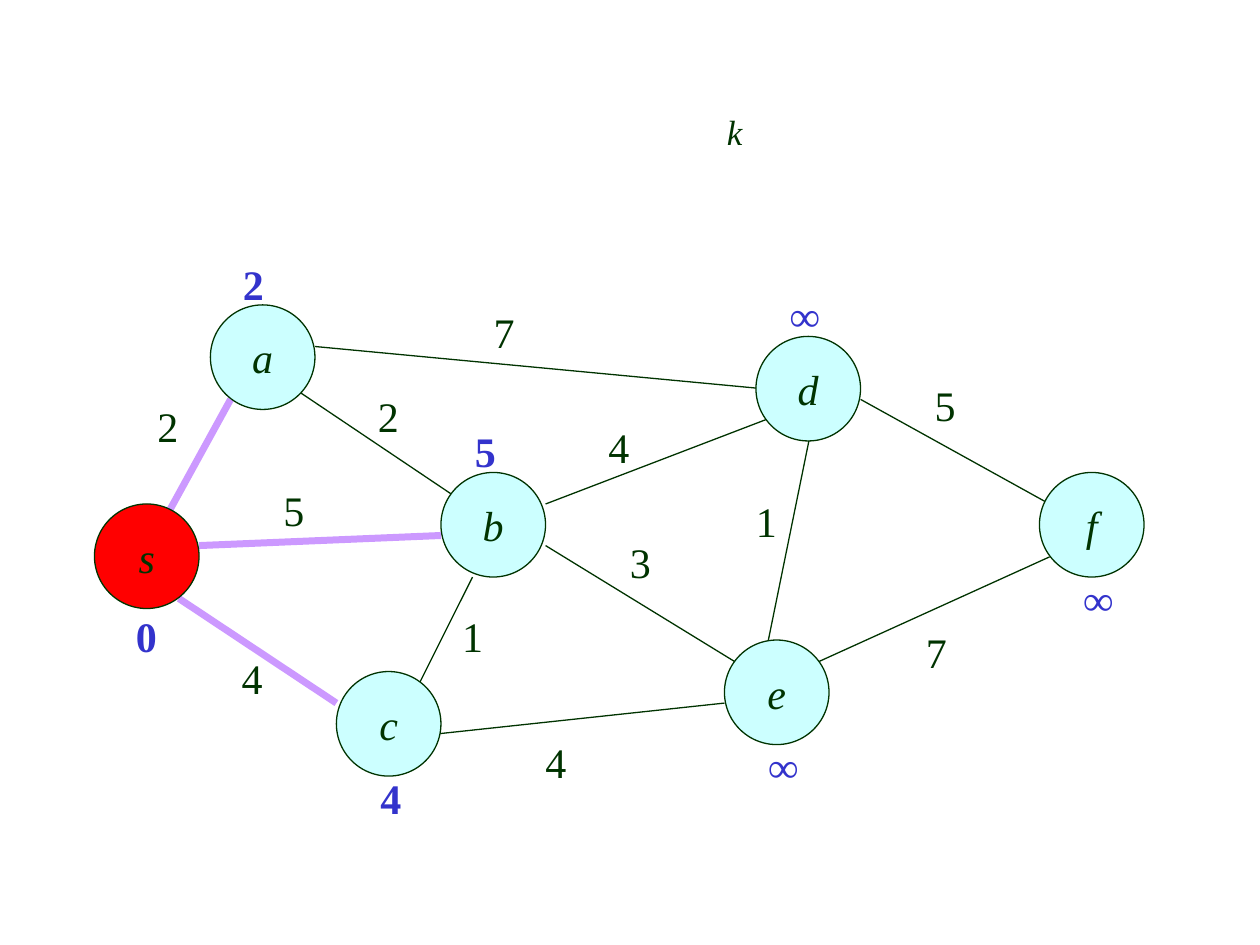
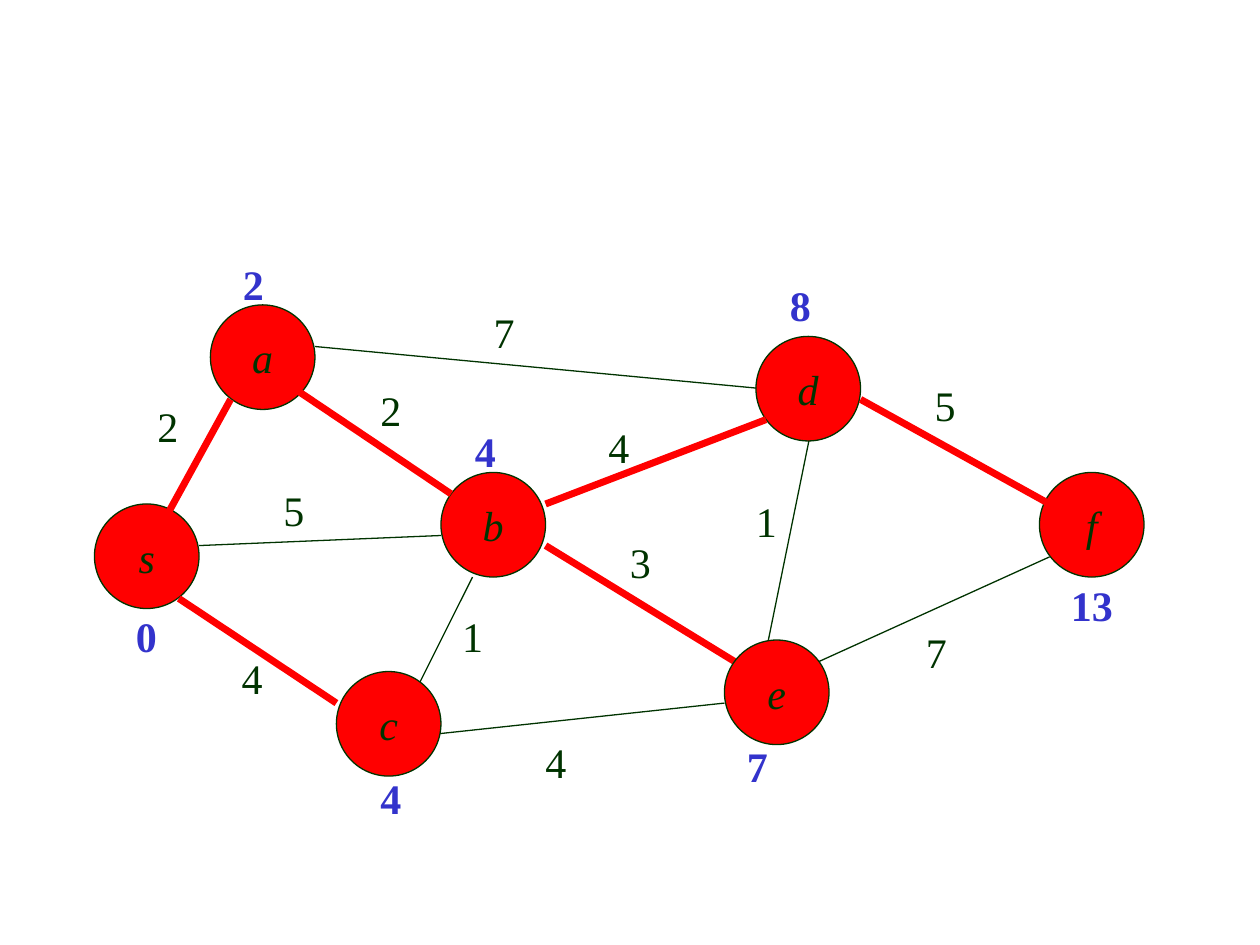
import pptx
import pptx.dml.color
import pptx.enum.shapes
import pptx.enum.text
import pptx.oxml
import pptx.util
from pptx.util import Inches

RGBColor = pptx.dml.color.RGBColor
INK = RGBColor(0x00, 0x33, 0x00)
UNVISITED = RGBColor(0xCC, 0xFF, 0xFF)
VISITED = RGBColor(0xFF, 0x00, 0x00)
CANDIDATE = RGBColor(0xCC, 0x99, 0xFF)
DISTANCE = RGBColor(0x33, 0x33, 0xCC)
FONT = "Times New Roman"
DIAMETER = 0.83
LABEL_WIDTH = 0.37
INFINITY_WIDTH = 0.44

NODES = {
    "a": (1.67, 2.42),
    "b": (3.5, 3.75),
    "c": (2.67, 5.33),
    "d": (6, 2.67),
    "e": (5.75, 5.08),
    "f": (8.25, 3.75),
    "s": (0.75, 4),
}
EDGES = {
    "ad": ((2.5, 2.75), (6, 3.08)),
    "ab": ((2.33, 3.08), (3.58, 3.92)),
    "as": ((1.83, 3.17), (1.33, 4.08)),
    "sc": ((1.42, 4.75), (2.67, 5.58)),
    "sb": ((1.58, 4.33), (3.5, 4.25)),
    "cb": ((3.33, 5.42), (3.75, 4.58)),
    "be": ((4.33, 4.33), (5.83, 5.25)),
    "ce": ((3.42, 5.83), (5.75, 5.58)),
    "de": ((6.42, 3.5), (6.08, 5.17)),
    "bd": ((4.33, 4), (6.08, 3.33)),
    "ef": ((6.5, 5.25), (8.33, 4.42)),
    "df": ((6.83, 3.17), (8.33, 4)),
}
WEIGHTS = [
    ("2", 1.15, 3.13),
    ("7", 3.82, 2.38),
    ("5", 2.15, 3.8),
    ("4", 1.82, 5.13),
    ("1", 3.57, 4.8),
    ("4", 4.23, 5.8),
    ("3", 4.9, 4.21),
    ("4", 4.73, 3.3),
    ("1", 5.9, 3.88),
    ("5", 7.32, 2.96),
    ("7", 7.25, 4.92),
]
SETTLED_DISTANCES = [("0", 0.98, 4.8), ("2", 1.83, 2), ("4", 2.92, 6.08)]


def write_text(frame, text, size=24, color=INK, bold=False, italic=False, align=None):
    """Write one formatted line into a text frame."""
    frame.word_wrap = False
    paragraph = frame.paragraphs[0]
    paragraph.alignment = align
    run = paragraph.add_run()
    run.text = text
    run.font.name = FONT
    run.font.size = pptx.util.Pt(size)
    run.font.color.rgb = color
    run.font.bold = bold
    run.font.italic = italic


def add_label(slide, text, left, top, width=LABEL_WIDTH, height=0.5, **text_format):
    """Add a free-standing label that grows with its text."""
    label = slide.shapes.add_textbox(
        Inches(left), Inches(top), Inches(width), Inches(height))
    label.text_frame.auto_size = pptx.enum.text.MSO_AUTO_SIZE.SHAPE_TO_FIT_TEXT
    write_text(label.text_frame, text, **text_format)


def add_node(slide, name, fill):
    """Add the named graph node as a circle."""
    left, top = NODES[name]
    node = slide.shapes.add_shape(
        pptx.enum.shapes.MSO_SHAPE.OVAL,
        Inches(left), Inches(top), Inches(DIAMETER), Inches(DIAMETER))
    node.shadow.inherit = False
    node.fill.solid()
    node.fill.fore_color.rgb = fill
    node.line.color.rgb = INK
    node.line.width = pptx.util.Pt(0.75)
    node.text_frame.vertical_anchor = pptx.enum.text.MSO_ANCHOR.MIDDLE
    write_text(node.text_frame, name, italic=True,
               align=pptx.enum.text.PP_ALIGN.CENTER)


def add_edge(slide, start, end, color, width):
    """Add a straight graph edge without a shadow."""
    edge = slide.shapes.add_connector(
        pptx.enum.shapes.MSO_CONNECTOR.STRAIGHT,
        *(Inches(value) for value in start + end))
    edge.line.color.rgb = color
    edge.line.width = pptx.util.Pt(width)
    properties = edge._element.spPr
    properties.append(properties.makeelement(pptx.oxml.ns.qn("a:effectLst"), {}))


def add_graph(deck, back, front, visited, marked, mark_color, ab_weight, distances):
    """Add a slide showing one state of the shortest-path search."""
    slide = deck.slides.add_slide(deck.slide_layouts[6])

    def add_nodes(names):
        """Add nodes coloured by whether they are visited."""
        for name in names:
            add_node(slide, name, VISITED if name in visited else UNVISITED)

    add_nodes(back)
    for name, (start, end) in EDGES.items():
        color, width = (mark_color, 4) if name in marked else (INK, 0.75)
        add_edge(slide, start, end, color, width)
    for weight in WEIGHTS + [ab_weight]:
        add_label(slide, *weight)
    for distance in SETTLED_DISTANCES + distances:
        add_label(slide, *distance, color=DISTANCE, bold=True)
    add_nodes(front)
    return slide


def main():
    """Build the first step and the final tree."""
    deck = pptx.Presentation()
    deck.slide_width, deck.slide_height = Inches(10), Inches(7.5)

    first_step = add_graph(
        deck, back="bd", front="sefca", visited="s",
        marked=("as", "sc", "sb"), mark_color=CANDIDATE,
        ab_weight=("2", 2.9, 3.05),
        distances=[("5", 3.67, 3.33),
                   ("∞", 6.17, 2.25, INFINITY_WIDTH),
                   ("∞", 8.5, 4.5, INFINITY_WIDTH),
                   ("∞", 6, 5.83, INFINITY_WIDTH)])
    add_label(first_step, "k", 5.67, 0.83, 0.32, 0.43, size=20, italic=True)

    add_graph(
        deck, back="afbds", front="ce", visited=NODES,
        marked=("ab", "as", "sc", "be", "bd", "df"), mark_color=VISITED,
        ab_weight=("2", 2.92, 3),
        distances=[("4", 3.67, 3.33), ("8", 6.17, 2.17),
                   ("7", 5.83, 5.83), ("13", 8.4, 4.55, 0.53)])

    deck.save("out.pptx")


if __name__ == "__main__":
    main()
